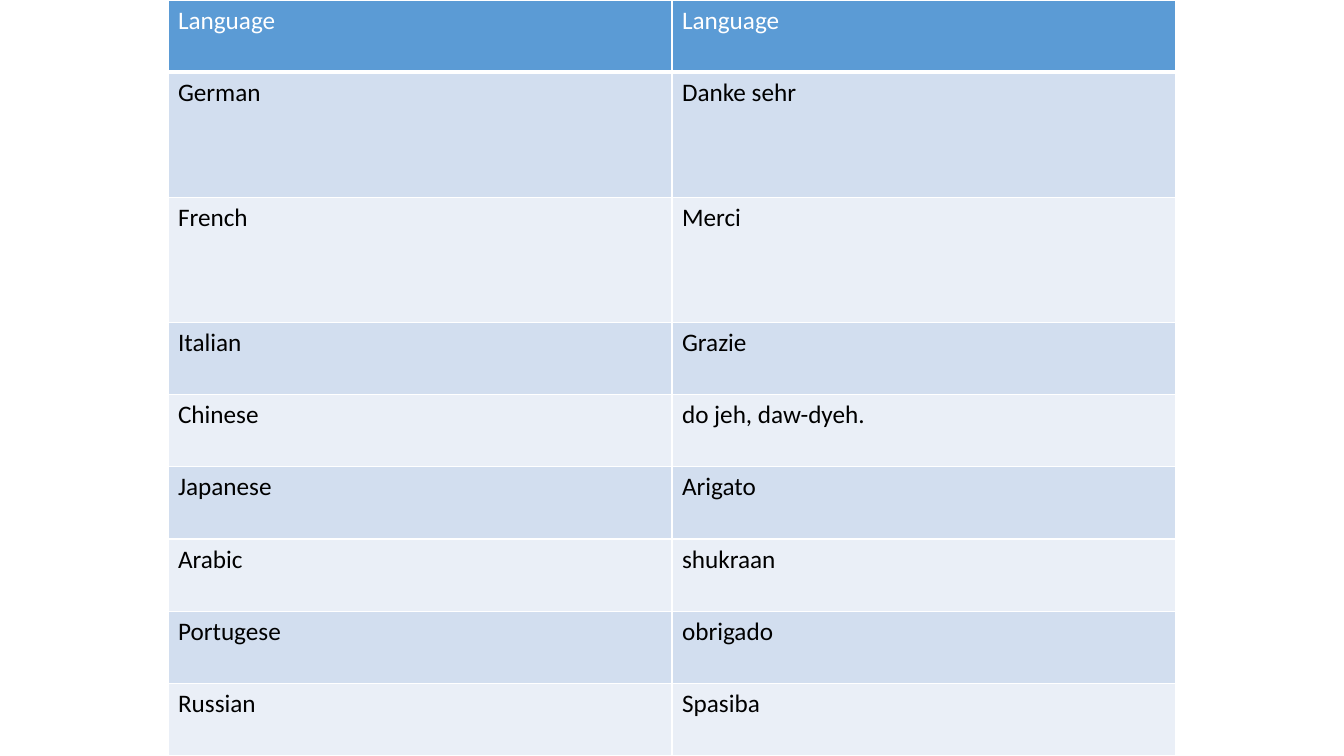
from lxml import etree
from pptx import Presentation
from pptx.dml.color import RGBColor
from pptx.oxml import ns
from pptx.util import Pt

WHITE = RGBColor(0xFF, 0xFF, 0xFF)
BLACK = RGBColor(0x00, 0x00, 0x00)
HEADER_BLUE = RGBColor(0x5B, 0x9B, 0xD5)
BAND_DARK = RGBColor(0xD2, 0xDE, 0xEF)
BAND_LIGHT = RGBColor(0xEA, 0xEF, 0xF7)

SLIDE_WIDTH, SLIDE_HEIGHT = 960, 540
COLUMN_WIDTH = 360
TALL_ROW, SHORT_ROW = 89.3, 51.63
TALL_LANGUAGES = ("German", "French")

THANKS = [
    ("Language", "Language"),
    ("German", "Danke sehr"),
    ("French", "Merci"),
    ("Italian", "Grazie"),
    ("Chinese", "do jeh, daw-dyeh."),
    ("Japanese", "Arigato"),
    ("Arabic", "shukraan"),
    ("Portugese", "obrigado"),
    ("Russian", "Spasiba"),
]


def write_text(frame, words, *, size=18, font="Calibri", color=BLACK):
    run = frame.paragraphs[0].add_run()
    run.text = words
    run.font.size = Pt(size)
    run.font.name = font
    run.font.color.rgb = color


def add_borders(cell, *, bottom=1, color=WHITE):
    properties = cell._tc.get_or_add_tcPr()
    for side, width in (("L", 1), ("R", 1), ("T", 1), ("B", bottom)):
        line = etree.SubElement(properties, ns.qn(f"a:ln{side}"), w=str(Pt(width)))
        fill = etree.SubElement(line, ns.qn("a:solidFill"))
        etree.SubElement(fill, ns.qn("a:srgbClr"), val=str(color))


def format_cell(cell, words, *, fill, color, bottom):
    add_borders(cell, bottom=bottom)
    cell.fill.solid()
    cell.fill.fore_color.rgb = fill
    write_text(cell.text_frame, words, color=color)


def row_style(index):
    if index == 0:
        return {"fill": HEADER_BLUE, "color": WHITE, "bottom": 3}
    band = BAND_DARK if index % 2 else BAND_LIGHT
    return {"fill": band, "color": BLACK, "bottom": 1}


def add_thanks_table(slide):
    width = 2 * COLUMN_WIDTH
    left = (SLIDE_WIDTH - width) / 2
    thanks_table = slide.shapes.add_table(
        len(THANKS), 2, Pt(left), Pt(0), Pt(width), Pt(SLIDE_HEIGHT)
    ).table
    for column in thanks_table.columns:
        column.width = Pt(COLUMN_WIDTH)

    # Header row, then alternating bands
    for index, entry in enumerate(THANKS):
        height = TALL_ROW if entry[0] in TALL_LANGUAGES else SHORT_ROW
        thanks_table.rows[index].height = Pt(height)
        for column, words in enumerate(entry):
            format_cell(thanks_table.cell(index, column), words, **row_style(index))


def main():
    deck = Presentation()
    deck.slide_width = Pt(SLIDE_WIDTH)
    deck.slide_height = Pt(SLIDE_HEIGHT)
    slide = deck.slides.add_slide(deck.slide_layouts[6])

    # Thank-you words by language
    add_thanks_table(slide)
    deck.save("out.pptx")


if __name__ == "__main__":
    main()
